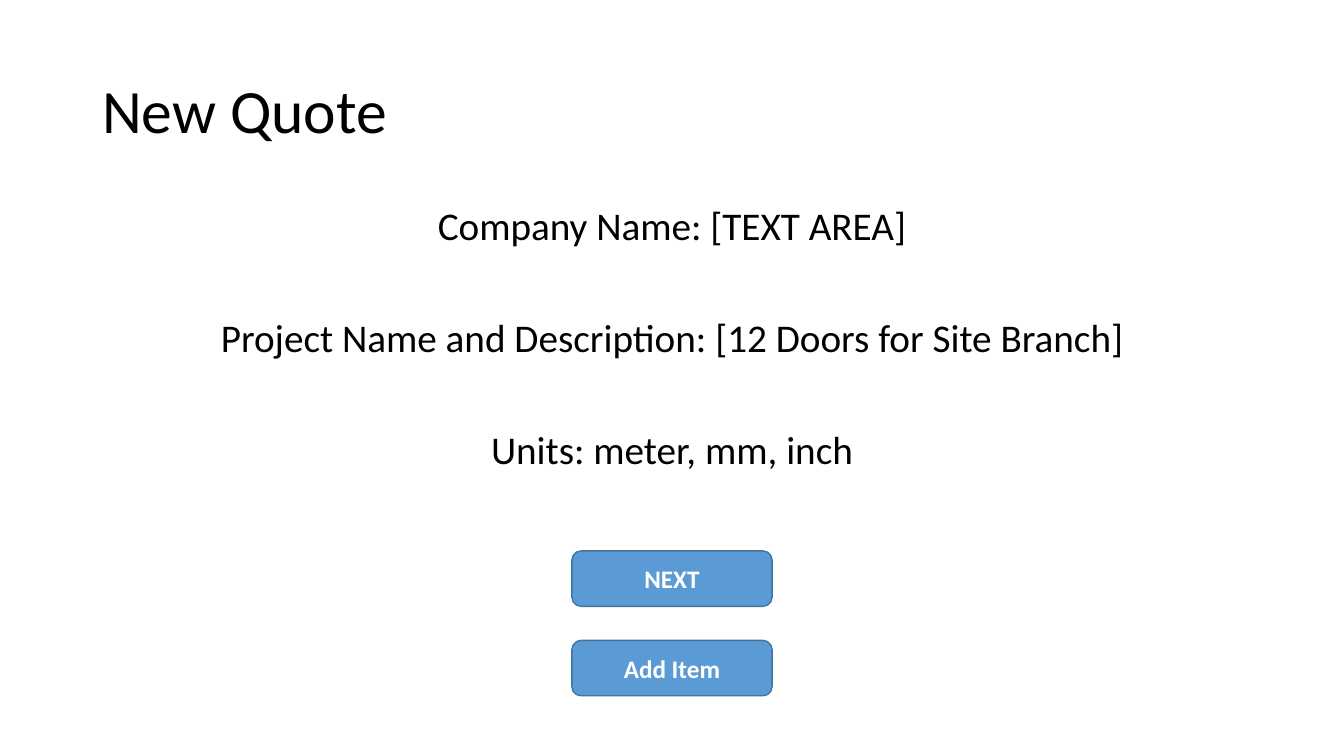
from dataclasses import dataclass

from pptx import Presentation
from pptx.dml.color import RGBColor as Rgb
from pptx.enum.shapes import MSO_SHAPE as Shape
from pptx.enum.text import MSO_ANCHOR as Anchor, PP_ALIGN as Align
from pptx.util import Pt


@dataclass(frozen=True)
class Theme:
    font: str = "Calibri"
    ink: str = "000000"
    white: str = "FFFFFF"
    blue: str = "5B9BD5"
    edge: str = "43739E"
    title: int = 44
    body: int = 28
    label: int = 18


THEME = Theme()
FIELDS = [
    "Company Name: [TEXT AREA]",
    "Project Name and Description: [12 Doors for Site Branch]",
    "Units: meter, mm, inch",
]
BUTTONS = ["NEXT", "Add Item"]


def style(para, size, color, align, bold=False):
    para.alignment = align
    font = para.font
    font.name, font.size, font.bold = THEME.font, Pt(size), bold
    font.color.rgb = Rgb.from_string(color)


def add_text(slide, box, lines, size, align, anchor, gap=0):
    frame = slide.shapes.add_textbox(*map(Pt, box)).text_frame
    frame.word_wrap = True
    frame.vertical_anchor = anchor
    frame.text = "\n".join(lines)
    for para in frame.paragraphs:
        style(para, size, THEME.ink, align)
        para.line_spacing = 0.9
        para.space_after = Pt(gap)


def add_button(slide, box, label):
    button = slide.shapes.add_shape(Shape.ROUNDED_RECTANGLE, *map(Pt, box))
    button.shadow.inherit = False
    button.fill.solid()
    button.fill.fore_color.rgb = Rgb.from_string(THEME.blue)
    button.line.color.rgb = Rgb.from_string(THEME.edge)
    button.line.width = Pt(1)
    frame = button.text_frame
    frame.text = label
    frame.vertical_anchor = Anchor.MIDDLE
    style(frame.paragraphs[0], THEME.label, THEME.white, Align.CENTER, True)


def main():
    deck = Presentation()
    deck.slide_width, deck.slide_height = Pt(960), Pt(540)
    slide = deck.slides.add_slide(deck.slide_layouts[6])

    # Heading
    add_text(slide, (66, 28.75, 828, 104.4), ["New Quote"],
             THEME.title, Align.LEFT, Anchor.MIDDLE)

    # Form fields
    add_text(slide, (66, 143.75, 828, 342.6), FIELDS,
             THEME.body, Align.CENTER, Anchor.TOP, gap=50)

    # Buttons, stacked and centred
    wide, high, step = 143, 39.6, 63.9
    for row, label in enumerate(BUTTONS):
        box = ((960 - wide) / 2, 393.5 + row * step, wide, high)
        add_button(slide, box, label)

    deck.save("out.pptx")


if __name__ == "__main__":
    main()
